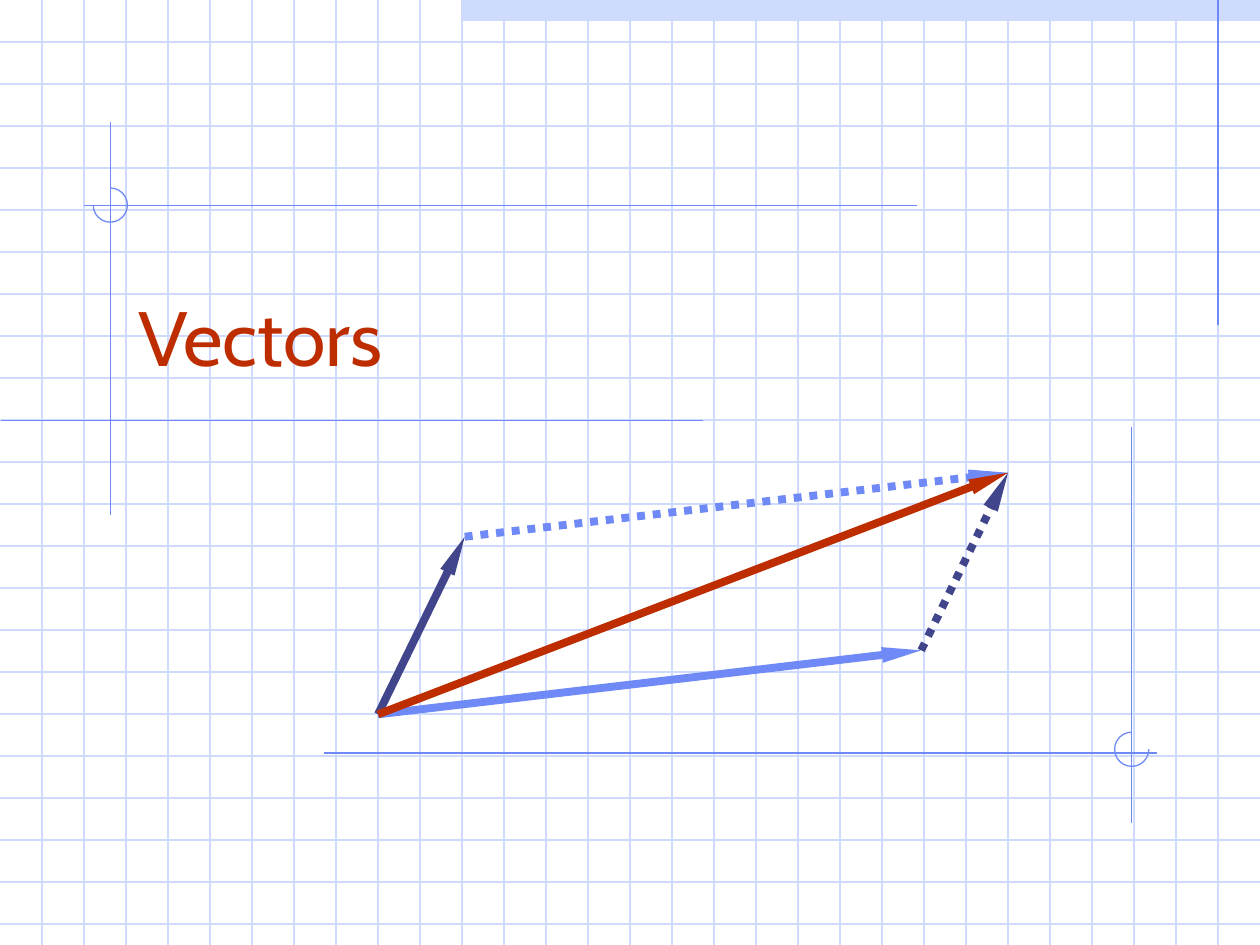
from lxml.etree import SubElement
from pptx import Presentation
from pptx.dml.color import RGBColor
from pptx.enum.dml import MSO_LINE
from pptx.enum.shapes import MSO_CONNECTOR, MSO_SHAPE
from pptx.enum.text import MSO_ANCHOR
from pptx.oxml.ns import qn
from pptx.util import Cm, Pt

WIDE, HIGH = 25.4, 19.05
STEP = 2.54 / 3
COLORS = {"grid": "CFDBFD", "blue": "6F89F7", "navy": "40458C", "red": "BE2D00"}


class Board:
    def __init__(self, slide, font):
        self.slide = slide
        self.font = font

    def color(self, name):
        return RGBColor.from_string(COLORS[name])

    def bar(self, x, y, w, h, color):
        shape = self.slide.shapes.add_shape(
            MSO_SHAPE.RECTANGLE, Cm(x), Cm(y), Cm(w), Cm(h))
        shape.shadow.inherit = False
        shape.fill.solid()
        shape.fill.fore_color.rgb = self.color(color)
        shape.line.fill.background()

    def line(self, start, end, color="blue", width=0.75):
        line = self.slide.shapes.add_connector(
            MSO_CONNECTOR.STRAIGHT, *map(Cm, start + end))
        line.line.color.rgb = self.color(color)
        line.line.width = Pt(width)
        SubElement(line._element.spPr, qn("a:effectLst"))
        return line

    def arrow(self, start, end, color, dotted=False):
        line = self.line(start, end, color, 4.5)
        if dotted:
            line.line.dash_style = MSO_LINE.ROUND_DOT
        SubElement(line.get_or_add_ln(), qn("a:tailEnd"),
                   type="triangle", w="sm", len="lg")

    def arc(self, x, y, size, start, end):
        arc = self.slide.shapes.add_shape(
            MSO_SHAPE.ARC, Cm(x), Cm(y), Cm(size), Cm(size))
        arc.shadow.inherit = False
        arc.adjustments[0] = start * 0.6
        arc.adjustments[1] = end * 0.6
        arc.fill.background()
        arc.line.color.rgb = self.color("blue")
        arc.line.width = Pt(0.75)

    def title(self, text, x, y, w, h):
        frame = self.slide.shapes.add_textbox(Cm(x), Cm(y), Cm(w), Cm(h)).text_frame
        frame.word_wrap = True
        frame.vertical_anchor = MSO_ANCHOR.BOTTOM
        par = frame.paragraphs[0]
        par.text = text
        par.font.name = self.font
        par.font.size = Pt(44)
        par.font.color.rgb = self.color("red")


def main():
    deck = Presentation()
    deck.slide_width, deck.slide_height = Cm(WIDE), Cm(HIGH)
    board = Board(deck.slides.add_slide(deck.slide_layouts[6]), "Cabin")

    board.bar(11 * STEP, 0, 19 * STEP, STEP / 2, "grid")
    for row in range(1, 23):
        board.line((0, row * STEP), (WIDE, row * STEP), "grid")
    for col in range(1, 30):
        board.line((col * STEP, 0), (col * STEP, HIGH), "grid")

    rules = [
        ((29 * STEP, 0), (29 * STEP, 6.55)),
        ((2.23, 2.46), (2.23, 10.39)),
        ((14.17, 8.48), (0.03, 8.48)),
        ((18.49, 4.14), (1.7, 4.14)),
        ((6.53, 15.18), (23.32, 15.18)),
        ((22.81, 8.61), (22.81, 16.59)),
    ]
    for start, end in rules:
        board.line(start, end)
    board.arc(1.88, 3.79, 0.69, 270, 180)
    board.arc(22.47, 14.76, 0.69, 0, 270)

    board.title("Vectors", 2.54, 4.65, 21.59, 3.18)

    base, left, right, tip = (7.62, 14.4), (9.37, 10.82), (18.57, 13.11), (20.32, 9.53)
    board.arrow(base, left, "navy")
    board.arrow(base, right, "blue")
    board.arrow(right, tip, "navy", dotted=True)
    board.arrow(left, tip, "blue", dotted=True)
    board.arrow(base, tip, "red")

    deck.save("out.pptx")


if __name__ == "__main__":
    main()
